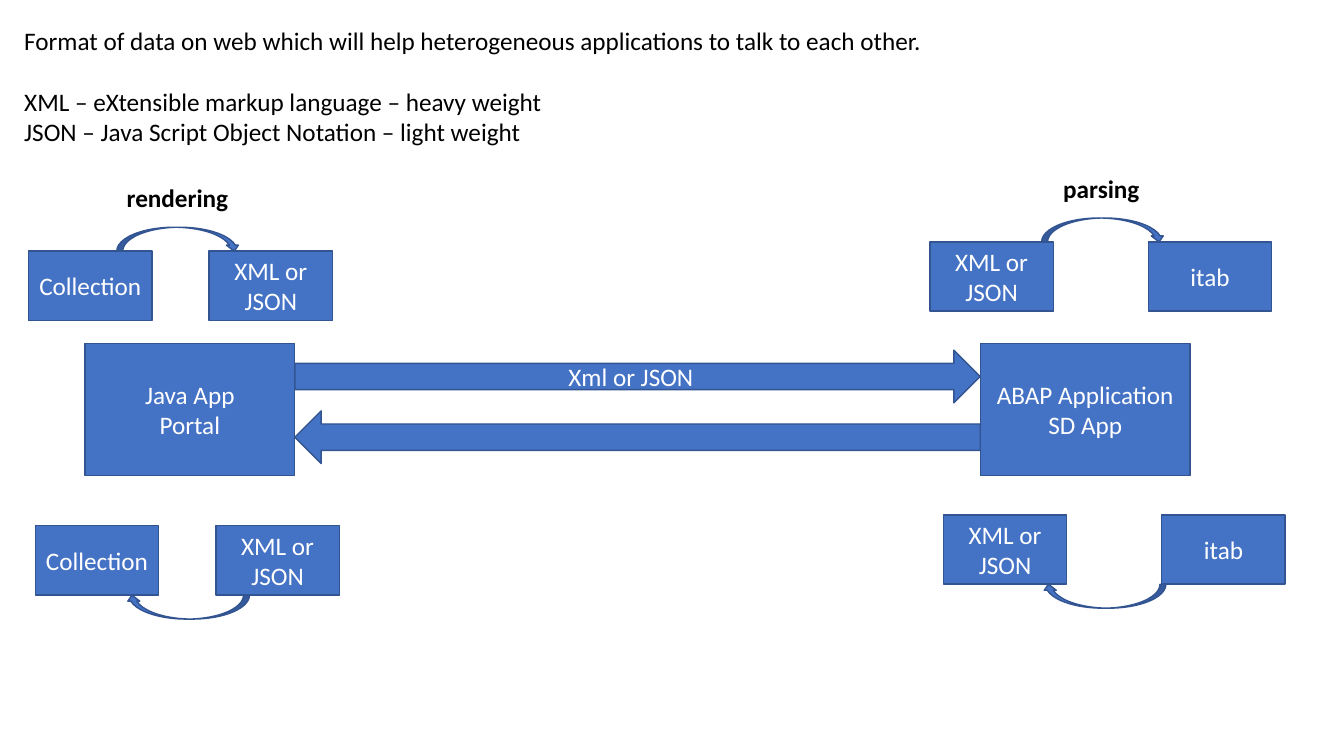
import pptx
import pptx.util
import pptx.dml.color
import pptx.enum.shapes
import pptx.enum.text

SHAPE = pptx.enum.shapes.MSO_SHAPE
ALIGN = pptx.enum.text.PP_ALIGN
ANCHOR = pptx.enum.text.MSO_ANCHOR
COLUMNS, ROWS = 160, 90
BLUE, EDGE, WHITE, BLACK = "4472C4", "325491", "FFFFFF", "000000"
TILE_W, TILE_H, CURVE_H = 14.7, 8.25, 2.85

deck = pptx.Presentation()
deck.slide_width = pptx.util.Inches(13.333)
deck.slide_height = pptx.util.Inches(7.5)
slide = deck.slides.add_slide(deck.slide_layouts[6])


def color(value):
    return pptx.dml.color.RGBColor.from_string(value)


def place(left, top, width, height):
    col, row = deck.slide_width / COLUMNS, deck.slide_height / ROWS
    return [round(v) for v in (left * col, top * row, width * col, height * row)]


def write(frame, lines, ink, align, bold=False):
    frame.word_wrap = True
    for number, line in enumerate(lines):
        paragraph = frame.add_paragraph() if number else frame.paragraphs[0]
        paragraph.alignment = align
        run = paragraph.add_run()
        run.text = line
        run.font.name = "Calibri"
        run.font.size = pptx.util.Pt(18)
        run.font.bold = bold
        run.font.color.rgb = color(ink)


def block(kind, box, lines=(), rotation=0):
    figure = slide.shapes.add_shape(kind, *place(*box))
    figure.shadow.inherit = False
    figure.fill.solid()
    figure.fill.fore_color.rgb = color(BLUE)
    figure.line.color.rgb = color(EDGE)
    figure.line.width = pptx.util.Pt(1)
    figure.rotation = rotation
    figure.text_frame.vertical_anchor = ANCHOR.MIDDLE
    write(figure.text_frame, lines, WHITE, ALIGN.CENTER)


def note(box, lines, bold=False):
    frame = slide.shapes.add_textbox(*place(*box)).text_frame
    write(frame, lines, BLACK, ALIGN.LEFT, bold)
    return frame


def introduction(box):
    frame = note(box, [
        "Format of data on web which will help heterogeneous applications to talk to each other.",
        "XML – eXtensible markup language – heavy weight",
        "JSON – Java Script Object Notation – light weight",
    ])
    frame.paragraphs[1].space_before = pptx.util.Pt(22)


def exchange(box):
    """Two applications with a message arrow each way."""
    left, top, width, height = box
    app_w, arrow_h = width * 0.19, height * 0.4
    # Applications at both ends
    block(SHAPE.RECTANGLE, (left, top, app_w, height), ["Java App", "Portal"])
    block(SHAPE.RECTANGLE, (left + width - app_w, top, app_w, height),
          ["ABAP Application", "SD App"])
    # Messages between them
    for kind, share, lines in ((SHAPE.RIGHT_ARROW, 0.05, ["Xml or JSON"]),
                               (SHAPE.LEFT_ARROW, 0.51, [])):
        block(kind, (left + app_w, top + height * share, width - 2 * app_w, arrow_h), lines)


def conversion(box, formats, curve_x, back=False, label=None, label_x=0):
    """Two data formats joined by a curved arrow, above or (back) below."""
    left, top, width, height = box
    for x, text in zip((left, left + width - TILE_W), formats):
        block(SHAPE.RECTANGLE, (x, top, TILE_W, height), [text])
    curve_y = top + height if back else top - CURVE_H
    block(SHAPE.CURVED_DOWN_ARROW, (left + curve_x, curve_y, TILE_W, CURVE_H),
          rotation=180 if back else 0)
    if label:
        note((left + label_x, top - 8.75, 30, 4.8), [label], bold=True)


introduction((1.7, 2.4, 155.8, 15.7))
exchange((10.1, 40.9, 131.6, 15.7))

# Conversions on the Java side, then on the ABAP side
java_formats = ("Collection", "XML or JSON")
abap_formats = ("XML or JSON", "itab")
conversion((3.4, 29.9, 36.2, TILE_H), java_formats, 10.5, label="rendering", label_x=10.5)
conversion((4.2, 62.6, 36.2, TILE_H), java_formats, 10.8, back=True)
conversion((110.7, 28.8, 40.7, TILE_H), abap_formats, 13.3, label="parsing", label_x=14.7)
conversion((112.3, 61.3, 40.7, TILE_H), abap_formats, 11.8, back=True)

deck.save("out.pptx")
